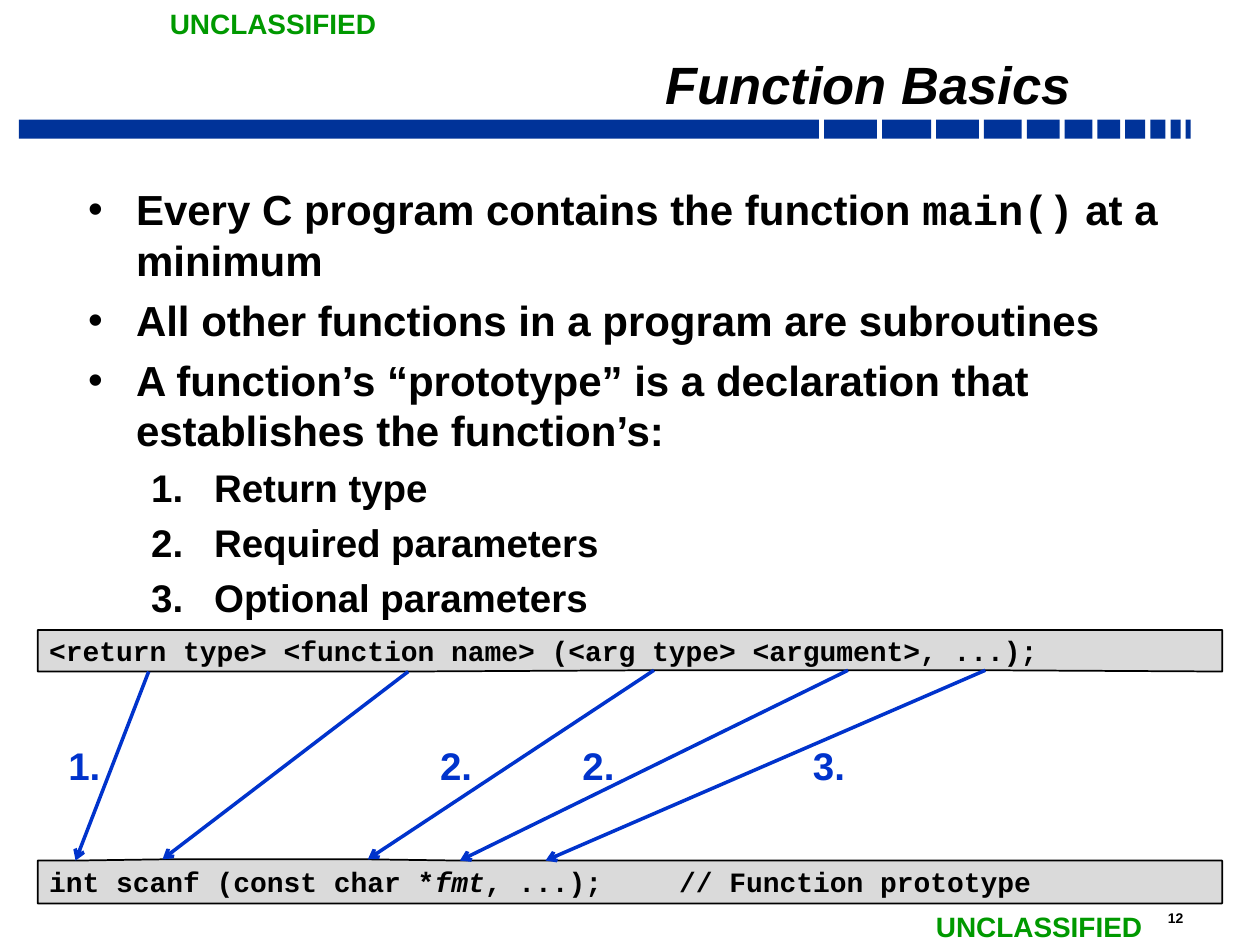
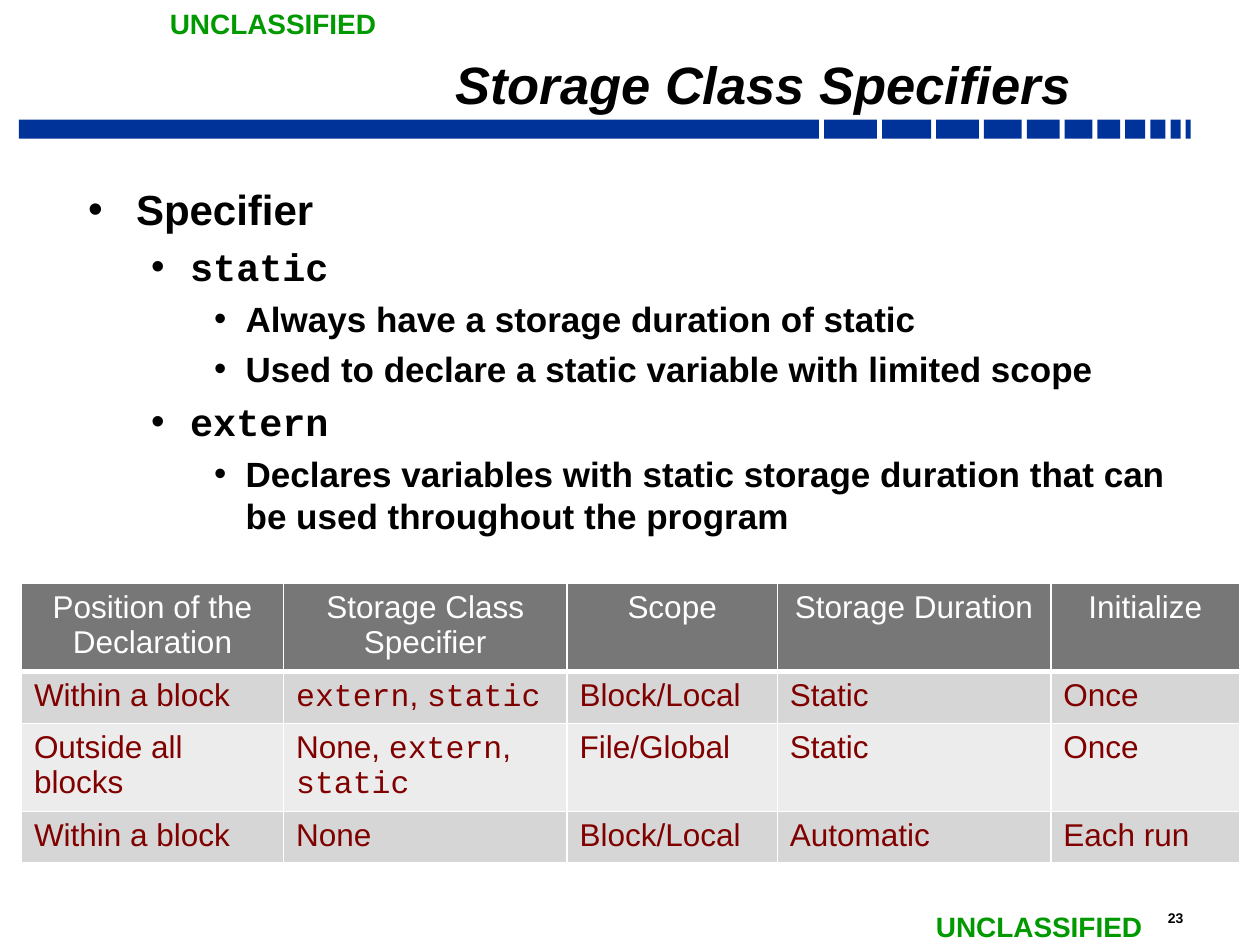
from dataclasses import dataclass
from typing import Any, Sequence

import lxml.etree
import pptx
import pptx.dml.color
import pptx.enum.shapes
import pptx.enum.text
import pptx.oxml.ns
import pptx.util

Inches = pptx.util.Inches
Pt = pptx.util.Pt
Align = pptx.enum.text.PP_ALIGN
Anchor = pptx.enum.text.MSO_ANCHOR
qn = pptx.oxml.ns.qn


@dataclass(frozen=True)
class Theme:
    text_font: str = "Arial"
    code_font: str = "Courier New"
    black: str = "000000"
    white: str = "FFFFFF"
    band: str = "003399"
    marking: str = "009900"
    arrow: str = "0033CC"
    code_fill: str = "DADADA"
    header_fill: str = "777777"
    row_fills: tuple[str, str] = ("D6D6D6", "ECECEC")
    table_text: str = "800000"
    title_size: int = 30
    level_sizes: tuple[int, int, int] = (24, 22, 20)
    label_size: int = 22
    table_size: int = 18
    small_size: int = 16
    number_size: int = 8
    space_before: float = 0.23


THEME = Theme()
Point = tuple[float, float]


@dataclass(frozen=True)
class Box:
    left: float
    top: float
    width: float
    height: float

    def lengths(self) -> list[int]:
        return [Inches(value) for value in (self.left, self.top, self.width, self.height)]


@dataclass(frozen=True)
class TextStyle:
    size: int
    color: str = THEME.black
    bold: bool = True
    italic: bool = False
    font: str = THEME.text_font


@dataclass(frozen=True)
class Item:
    """A list line; parts between backticks are set in the code font."""
    text: str
    level: int = 0
    numbered: bool = False


@dataclass(frozen=True)
class Arrow:
    start: Point
    end: Point


TITLE_BOX = Box(1.67, 0.35, 6.92, 0.59)
BODY_BOX = Box(0.61, 1.42, 9.07, 5.17)
MARKING_BOXES = (Box(1.25, 0, 1.86, 0.37), Box(7.33, 7.17, 1.86, 0.37))
NUMBER_BOX = Box(9.17, 7.17, 0.54, 0.23)
BAND_LEFT, BAND_TOP, BAND_HEIGHT, BAND_GAP = 0.15, 0.95, 0.15, 0.04
BAND_WIDTHS = (6.35, 0.42, 0.39, 0.34, 0.3, 0.26, 0.22, 0.18, 0.16, 0.12, 0.08, 0.04)
BULLET_INDENTS = ((0.38, 0.38), (0.81, 0.31), (1.25, 0.25))
NUMBER_INDENT = (1, 0.5)
TIGHT_INSETS = {
    "margin_left": Inches(0.09), "margin_right": Inches(0.09),
    "margin_top": Inches(0.04), "margin_bottom": Inches(0.04),
}

FUNCTION_ITEMS = (
    Item("Every C program contains the function `main()` at a minimum"),
    Item("All other functions in a program are subroutines"),
    Item("A function’s “prototype” is a declaration that establishes the function’s:"),
    Item("Return type", 1, True),
    Item("Required parameters", 1, True),
    Item("Optional parameters", 1, True),
)
SPECIFIER_ITEMS = (
    Item("Specifier"),
    Item("`static`", 1),
    Item("Always have a storage duration of static", 2),
    Item("Used to declare a static variable with limited scope", 2),
    Item("`extern`", 1),
    Item("Declares variables with static storage duration that can be used "
         "throughout the program", 2),
)

CODE_LEFT, CODE_RIGHT = 0.3, 9.7
TEMPLATE_TOP, TEMPLATE_BOTTOM = 5, 5.33
EXAMPLE_TOP, EXAMPLE_BOTTOM = 6.83, 7.17
ARROWS = (
    Arrow((1.18, 5.33), (0.6, 6.83)),
    Arrow((3.24, 5.33), (1.29, 6.82)),
    Arrow((5.19, 5.32), (2.92, 6.82)),
    Arrow((6.73, 5.32), (3.65, 6.83)),
    Arrow((7.82, 5.32), (4.33, 6.83)),
)
ARROW_LABELS = ((0.42, "1."), (3.37, "2."), (4.5, "2."), (6.33, "3."))

TABLE_COLUMNS = (2.08, 2.25, 1.67, 2.17, 1.5)
TABLE_ROW_HEIGHTS = (0.66, 0.41, 0.69, 0.41)
TABLE_ROWS = (
    ("Position of the Declaration", "Storage Class Specifier", "Scope",
     "Storage Duration", "Initialize"),
    ("Within a block", "`extern`, `static`", "Block/Local", "Static", "Once"),
    ("Outside all blocks", "None, `extern`, `static`", "File/Global", "Static", "Once"),
    ("Within a block", "None", "Block/Local", "Automatic", "Each run"),
)


def rgb(color: str) -> pptx.dml.color.RGBColor:
    return pptx.dml.color.RGBColor.from_string(color)


def apply_format(target: Any, values: dict[str, Any]) -> None:
    for name, value in values.items():
        setattr(target, name, value)


def write_text(paragraph: Any, text: str, style: TextStyle,
               marked: dict[str, Any] | None = None) -> None:
    """Add runs, giving the parts between backticks the marked format."""
    for index, part in enumerate(text.split("`")):
        if not part:
            continue
        run = paragraph.add_run()
        run.text = part
        values = {"size": Pt(style.size), "bold": style.bold,
                  "italic": style.italic, "name": style.font}
        if index % 2:
            values.update(marked or {"name": THEME.code_font})
        apply_format(run.font, values)
        run.font.color.rgb = rgb(style.color)


def add_text(slide: Any, box: Box, text: str, style: TextStyle,
             align: Any = Align.LEFT, wrap: bool = True) -> None:
    frame = slide.shapes.add_textbox(*box.lengths()).text_frame
    frame.word_wrap = wrap
    frame.paragraphs[0].alignment = align
    write_text(frame.paragraphs[0], text, style)


def add_band(slide: Any) -> None:
    left = BAND_LEFT
    for width in BAND_WIDTHS:
        segment = slide.shapes.add_shape(
            pptx.enum.shapes.MSO_SHAPE.RECTANGLE,
            *Box(left, BAND_TOP, width, BAND_HEIGHT).lengths())
        segment.shadow.inherit = False
        segment.fill.solid()
        segment.fill.fore_color.rgb = rgb(THEME.band)
        segment.line.fill.background()
        left += width + BAND_GAP


def add_base_slide(presentation: Any, title: str, number: int) -> Any:
    """Add a slide with the band, the markings, the number and the title."""
    slide = presentation.slides.add_slide(presentation.slide_layouts.get_by_name("Title Only"))
    add_band(slide)
    add_text(slide, NUMBER_BOX, str(number), TextStyle(THEME.number_size))
    for box in MARKING_BOXES:
        add_text(slide, box, "UNCLASSIFIED",
                 TextStyle(THEME.small_size, THEME.marking), wrap=False)
    shape = slide.shapes.title
    apply_format(shape, dict(zip(("left", "top", "width", "height"), TITLE_BOX.lengths())))
    apply_format(shape.text_frame, TIGHT_INSETS | {
        "vertical_anchor": Anchor.BOTTOM, "word_wrap": True,
        "auto_size": pptx.enum.text.MSO_AUTO_SIZE.NONE})
    paragraph = shape.text_frame.paragraphs[0]
    apply_format(paragraph, {"alignment": Align.RIGHT, "line_spacing": 0.7})
    write_text(paragraph, title, TextStyle(THEME.title_size, italic=True))
    return slide


def set_bullet(paragraph: Any, item: Item) -> None:
    margin, hanging = NUMBER_INDENT if item.numbered else BULLET_INDENTS[item.level]
    properties = paragraph._p.get_or_add_pPr()
    properties.set("marL", str(Inches(margin)))
    properties.set("indent", str(-Inches(hanging)))
    color = lxml.etree.SubElement(properties, qn("a:buClr"))
    lxml.etree.SubElement(color, qn("a:srgbClr"), val=THEME.black)
    lxml.etree.SubElement(properties, qn("a:buFont"), typeface=THEME.text_font)
    if item.numbered:
        lxml.etree.SubElement(properties, qn("a:buAutoNum"), type="arabicPeriod")
    else:
        lxml.etree.SubElement(properties, qn("a:buChar"), char="•")


def add_list(slide: Any, items: Sequence[Item]) -> None:
    frame = slide.shapes.add_textbox(*BODY_BOX.lengths()).text_frame
    apply_format(frame, TIGHT_INSETS | {"word_wrap": True})
    for index, item in enumerate(items):
        paragraph = frame.add_paragraph() if index else frame.paragraphs[0]
        size = THEME.level_sizes[item.level]
        apply_format(paragraph, {"level": item.level, "alignment": Align.LEFT,
                                 "space_before": Pt(size * THEME.space_before)})
        set_bullet(paragraph, item)
        write_text(paragraph, item.text, TextStyle(size))


def add_code_box(slide: Any, outline: Sequence[Point], code: str) -> None:
    """Draw a code strip; parts of the code between backticks are italic."""
    points = [(Inches(x), Inches(y)) for x, y in outline]
    builder = slide.shapes.build_freeform(*points[0])
    builder.add_line_segments(points[1:], close=True)
    shape = builder.convert_to_shape()
    shape.shadow.inherit = False
    shape.fill.solid()
    shape.fill.fore_color.rgb = rgb(THEME.code_fill)
    shape.line.color.rgb = rgb(THEME.black)
    shape.line.width = Pt(1)
    apply_format(shape.text_frame, TIGHT_INSETS | {
        "vertical_anchor": Anchor.MIDDLE, "word_wrap": True})
    paragraph = shape.text_frame.paragraphs[0]
    apply_format(paragraph, {"alignment": Align.LEFT,
                             "space_before": Pt(THEME.small_size * THEME.space_before)})
    write_text(paragraph, code, TextStyle(THEME.small_size, font=THEME.code_font),
               {"italic": True})


def add_arrow(slide: Any, arrow: Arrow) -> None:
    connector = slide.shapes.add_connector(
        pptx.enum.shapes.MSO_CONNECTOR.STRAIGHT,
        *(Inches(value) for value in arrow.start + arrow.end))
    connector.line.color.rgb = rgb(THEME.arrow)
    connector.line.width = Pt(2)
    lxml.etree.SubElement(connector.line._get_or_add_ln(), qn("a:tailEnd"), type="arrow")
    lxml.etree.SubElement(connector._element.spPr, qn("a:effectLst"))


def set_borders(cell: Any, widths: dict[str, int]) -> None:
    properties = cell._tc.get_or_add_tcPr()
    for side, width in widths.items():
        line = lxml.etree.SubElement(properties, qn(f"a:ln{side}"), w=str(Pt(width)))
        fill = lxml.etree.SubElement(line, qn("a:solidFill"))
        lxml.etree.SubElement(fill, qn("a:srgbClr"), val=THEME.white)


def add_specifier_table(slide: Any) -> None:
    box = Box(0.17, 4.63, sum(TABLE_COLUMNS), sum(TABLE_ROW_HEIGHTS))
    table = slide.shapes.add_table(
        len(TABLE_ROWS), len(TABLE_COLUMNS), *box.lengths()).table
    table.horz_banding = False
    for column, width in zip(table.columns, TABLE_COLUMNS):
        column.width = Inches(width)
    for row_index, texts in enumerate(TABLE_ROWS):
        header = row_index == 0
        table.rows[row_index].height = Inches(TABLE_ROW_HEIGHTS[row_index])
        fill = THEME.header_fill if header else THEME.row_fills[(row_index - 1) % 2]
        color = THEME.white if header else THEME.table_text
        borders = {"L": 1, "R": 1, "T": 3 if row_index == 1 else 1, "B": 3 if header else 1}
        for column_index, text in enumerate(texts):
            cell = table.cell(row_index, column_index)
            set_borders(cell, borders)
            cell.fill.solid()
            cell.fill.fore_color.rgb = rgb(fill)
            paragraph = cell.text_frame.paragraphs[0]
            paragraph.alignment = Align.CENTER if header else Align.LEFT
            write_text(paragraph, text, TextStyle(THEME.table_size, color, bold=False))


def build_function_slide(presentation: Any) -> None:
    slide = add_base_slide(presentation, "Function Basics", 12)
    add_list(slide, FUNCTION_ITEMS)
    starts = [arrow.start for arrow in reversed(ARROWS)]
    ends = [arrow.end for arrow in ARROWS]
    add_code_box(
        slide,
        [(CODE_LEFT, TEMPLATE_TOP), (CODE_RIGHT, TEMPLATE_TOP),
         (CODE_RIGHT, TEMPLATE_BOTTOM), *starts, (CODE_LEFT, TEMPLATE_BOTTOM)],
        "<return type> <function name> (<arg type> <argument>, ...);")
    add_code_box(
        slide,
        [(CODE_LEFT, EXAMPLE_TOP), *ends, (CODE_RIGHT, EXAMPLE_TOP),
         (CODE_RIGHT, EXAMPLE_BOTTOM), (CODE_LEFT, EXAMPLE_BOTTOM)],
        "int scanf (const char *`fmt`, ...);\t\t// Function prototype")
    for arrow in ARROWS:
        add_arrow(slide, arrow)
    for left, label in ARROW_LABELS:
        add_text(slide, Box(left, 5.84, 0.5, 0.47), label,
                 TextStyle(THEME.label_size, THEME.arrow), Align.CENTER)


def build_specifier_slide(presentation: Any) -> None:
    slide = add_base_slide(presentation, "Storage Class Specifiers", 23)
    add_list(slide, SPECIFIER_ITEMS)
    add_specifier_table(slide)


def main() -> None:
    presentation = pptx.Presentation()
    apply_format(presentation, {"slide_width": Inches(10), "slide_height": Inches(7.5)})
    build_function_slide(presentation)
    build_specifier_slide(presentation)
    presentation.save("out.pptx")


if __name__ == "__main__":
    main()
